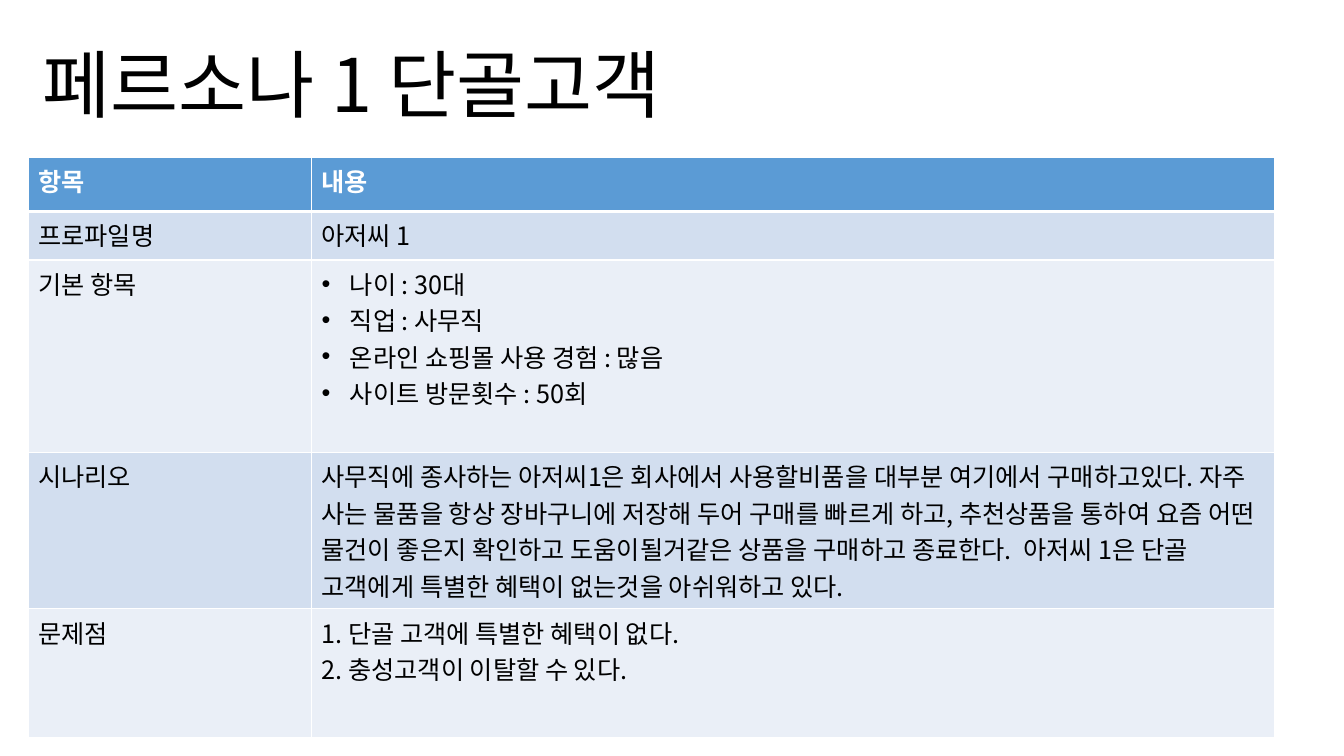
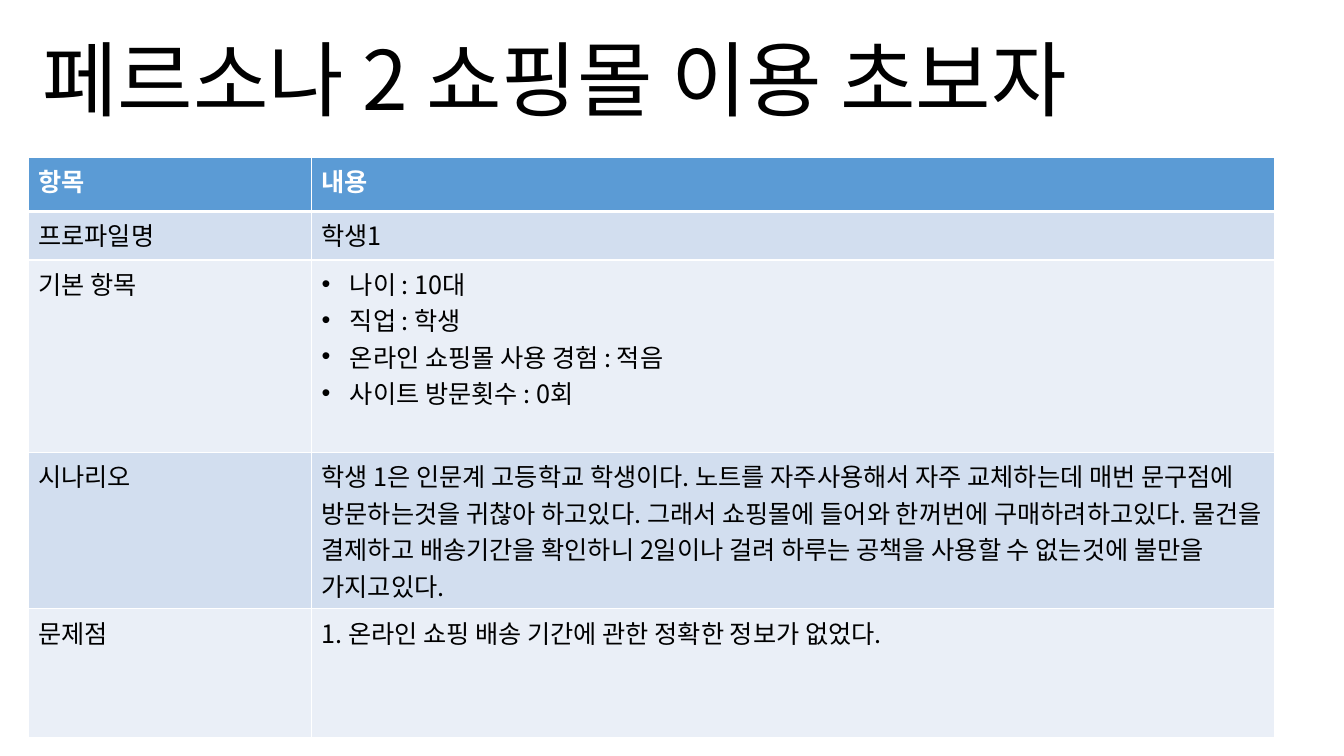
from dataclasses import dataclass

from lxml import etree
from pptx import Presentation
from pptx.dml.color import RGBColor
from pptx.enum.text import MSO_ANCHOR, MSO_AUTO_SIZE, PP_ALIGN
from pptx.oxml.ns import qn
from pptx.util import Inches, Pt

LEFT, BOTTOM, NO_FIT = PP_ALIGN.LEFT, MSO_ANCHOR.BOTTOM, MSO_AUTO_SIZE.NONE
TITLE_ONLY = 5

# Content
HEADINGS = ("항목", "내용")
PERSONAS = [
    {
        "title": "페르소나 1 단골고객",
        "title_size": 52.8,
        "profile": "아저씨 1",
        "basics": ["나이 : 30대", "직업 : 사무직",
                   "온라인 쇼핑몰 사용 경험 : 많음", "사이트 방문횟수 : 50회"],
        "scenario": "사무직에 종사하는 아저씨1은 회사에서 사용할비품을 대부분 여기에서 "
                    "구매하고있다. 자주 사는 물품을 항상 장바구니에 저장해 두어 구매를 "
                    "빠르게 하고, 추천상품을 통하여 요즘 어떤 물건이 좋은지 확인하고 "
                    "도움이될거같은 상품을 구매하고 종료한다.  아저씨 1은 단골 고객에게 "
                    "특별한 혜택이 없는것을 아쉬워하고 있다.",
        "problems": ["1. 단골 고객에 특별한 혜택이 없다.",
                     "2. 충성고객이 이탈할 수 있다."],
    },
    {
        "title": "페르소나 2 쇼핑몰 이용 초보자",
        "title_size": 58.6,
        "profile": "학생1",
        "basics": ["나이 : 10대", "직업 : 학생",
                   "온라인 쇼핑몰 사용 경험 : 적음", "사이트 방문횟수 : 0회"],
        "scenario": "학생 1은 인문계 고등학교 학생이다. 노트를 자주사용해서 자주 교체하는데 "
                    "매번 문구점에 방문하는것을 귀찮아 하고있다. 그래서 쇼핑몰에 들어와 "
                    "한꺼번에 구매하려하고있다. 물건을 결제하고 배송기간을 확인하니 2일이나 "
                    "걸려 하루는 공책을 사용할 수 없는것에 불만을 가지고있다.",
        "problems": ["1. 온라인 쇼핑 배송 기간에 관한 정확한 정보가 없었다."],
    },
]


@dataclass(frozen=True)
class Theme:
    font: str = "Noto Sans CJK KR"
    cell_size: float = 18
    text: str = "000000"
    header_text: str = "FFFFFF"
    header_fill: str = "5B9BD5"
    band_fills: tuple = ("D2DEEF", "EAEFF7")
    border: str = "FFFFFF"
    border_width: float = 1
    header_rule: float = 3


THEME = Theme()

# Layout
TITLE_BOX = (Inches(0.32), Inches(0.14), Inches(12.25), Inches(1.18))
TABLE_LEFT, TABLE_TOP = Inches(0.28), Inches(1.56)
COLUMN_WIDTHS = (Inches(2.81), Inches(9.55))
ROW_HEIGHTS = [Inches(h) for h in (0.54, 0.48, 1.91, 1.55, 1.28)]
BULLET_INDENT = Inches(0.28)


def style_paragraph(paragraph, size, color, bold=False):
    font = paragraph.font
    font.name, font.size, font.bold = THEME.font, Pt(size), bold
    font.color.rgb = RGBColor.from_string(color)
    # East Asian glyphs take their own typeface entry
    latin = paragraph._p.pPr.find(qn("a:defRPr")).find(qn("a:latin"))
    east_asian = etree.Element(qn("a:ea"), typeface=THEME.font)
    latin.addnext(east_asian)


def add_bullet(paragraph):
    properties = paragraph._p.get_or_add_pPr()
    properties.set("marL", str(BULLET_INDENT))
    properties.set("indent", str(-BULLET_INDENT))
    bullet_font = etree.Element(qn("a:buFont"), typeface="Arial")
    bullet = etree.Element(qn("a:buChar"), char="•")
    properties.insert(0, bullet_font)
    bullet_font.addnext(bullet)


def set_borders(cell, bottom_width):
    properties = cell._tc.get_or_add_tcPr()
    for position, side in enumerate("LRTB"):
        width = bottom_width if side == "B" else THEME.border_width
        line = etree.Element(qn(f"a:ln{side}"), w=str(Pt(width)))
        fill = etree.SubElement(line, qn("a:solidFill"))
        etree.SubElement(fill, qn("a:srgbClr"), val=THEME.border)
        properties.insert(position, line)


def fill_cell(cell, lines, is_header, fill, bulleted):
    cell.fill.solid()
    cell.fill.fore_color.rgb = RGBColor.from_string(fill)
    set_borders(cell, THEME.header_rule if is_header else THEME.border_width)
    cell.text = "\n".join(lines)
    color = THEME.header_text if is_header else THEME.text
    for paragraph in cell.text_frame.paragraphs:
        style_paragraph(paragraph, THEME.cell_size, color, is_header)
        if bulleted:
            add_bullet(paragraph)


def add_title(slide, text, size):
    title = slide.shapes.title
    title.left, title.top, title.width, title.height = TITLE_BOX
    frame = title.text_frame
    frame.text = text
    frame.word_wrap, frame.auto_size, frame.vertical_anchor = True, NO_FIT, BOTTOM
    paragraph = frame.paragraphs[0]
    paragraph.alignment, paragraph.line_spacing = LEFT, 0.9
    style_paragraph(paragraph, size, THEME.text)


def add_persona_table(slide, persona):
    rows = [
        (HEADINGS[0], [HEADINGS[1]]),
        ("프로파일명", [persona["profile"]]),
        ("기본 항목", persona["basics"]),
        ("시나리오", [persona["scenario"]]),
        ("문제점", persona["problems"]),
    ]
    table = slide.shapes.add_table(
        len(rows), len(COLUMN_WIDTHS), TABLE_LEFT, TABLE_TOP,
        sum(COLUMN_WIDTHS), sum(ROW_HEIGHTS)).table
    for column, width in zip(table.columns, COLUMN_WIDTHS):
        column.width = width
    for index, (label, details) in enumerate(rows):
        table.rows[index].height = ROW_HEIGHTS[index]
        is_header = index == 0
        fill = THEME.header_fill if is_header else THEME.band_fills[(index - 1) % 2]
        fill_cell(table.cell(index, 0), [label], is_header, fill, False)
        fill_cell(table.cell(index, 1), details, is_header, fill,
                  details is persona["basics"])


def main():
    deck = Presentation()
    deck.slide_width, deck.slide_height = Inches(13.33), Inches(7.5)
    for persona in PERSONAS:
        slide = deck.slides.add_slide(deck.slide_layouts[TITLE_ONLY])
        add_title(slide, persona["title"], persona["title_size"])
        add_persona_table(slide, persona)
    deck.save("out.pptx")


if __name__ == "__main__":
    main()
